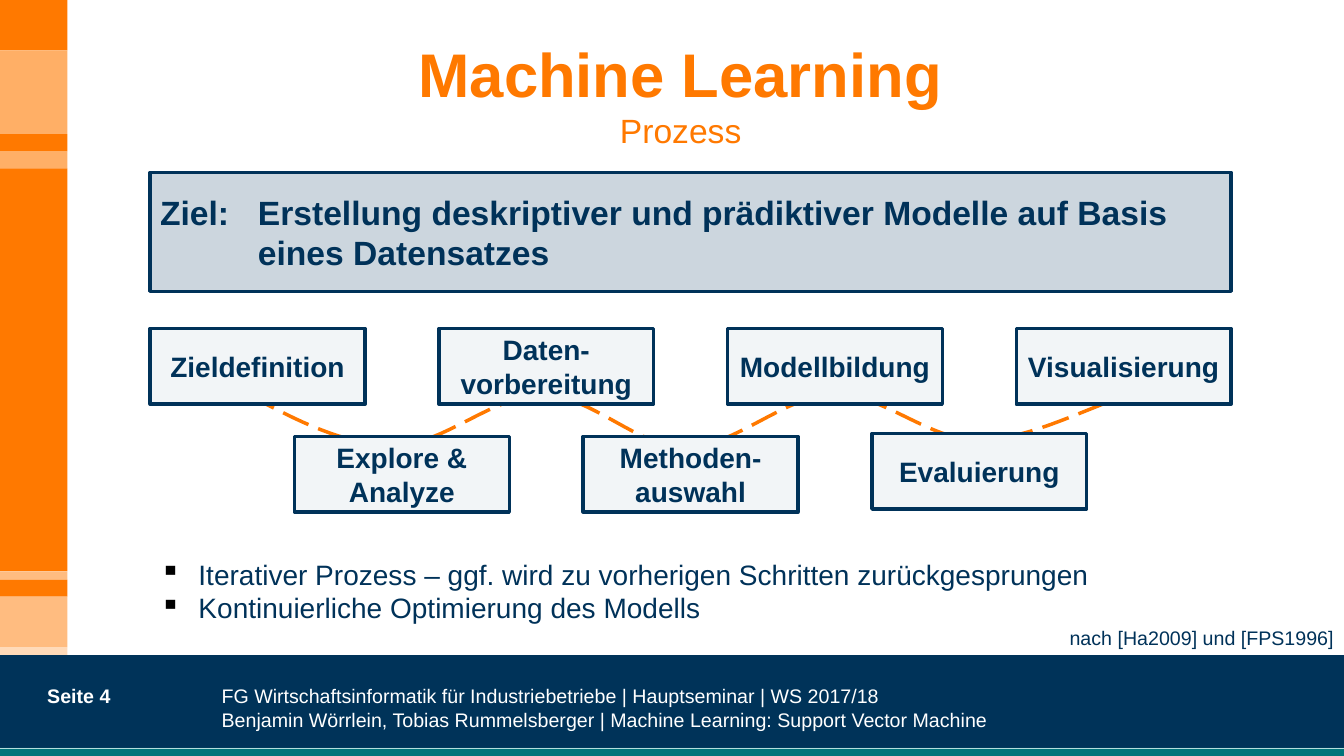
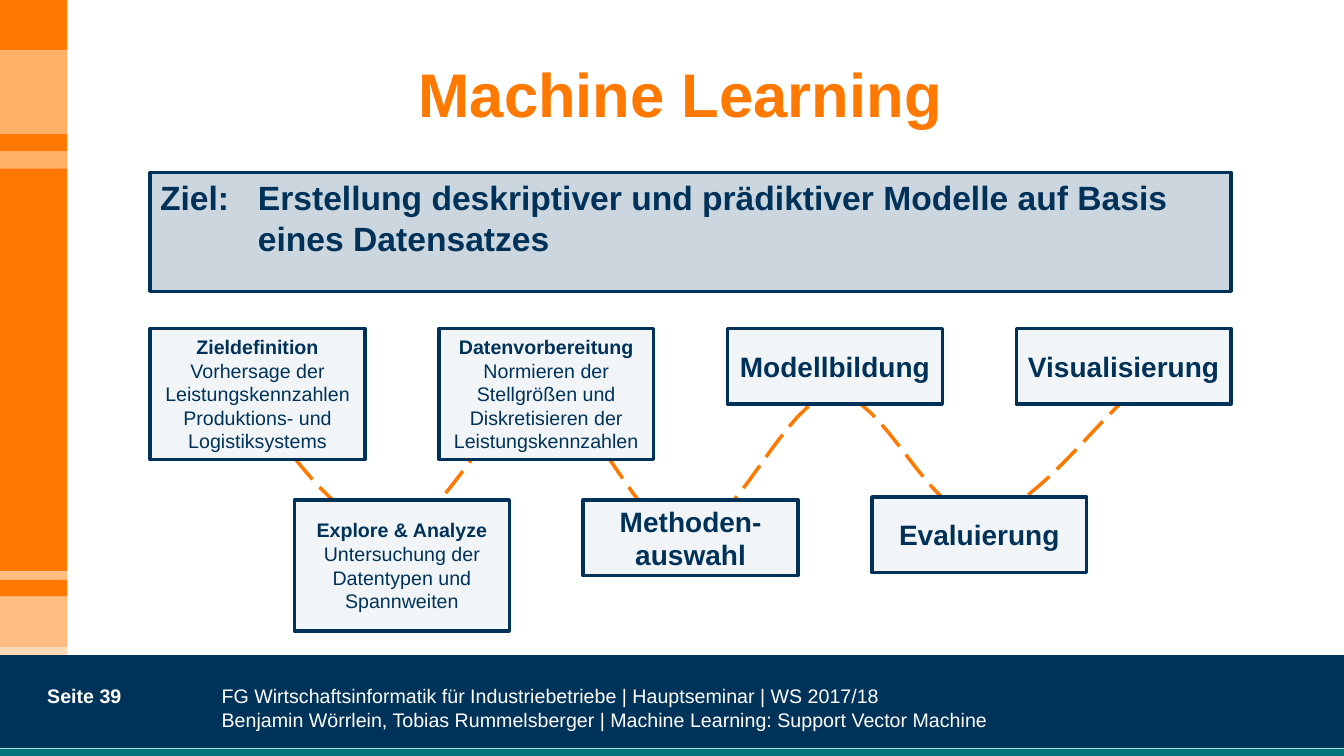
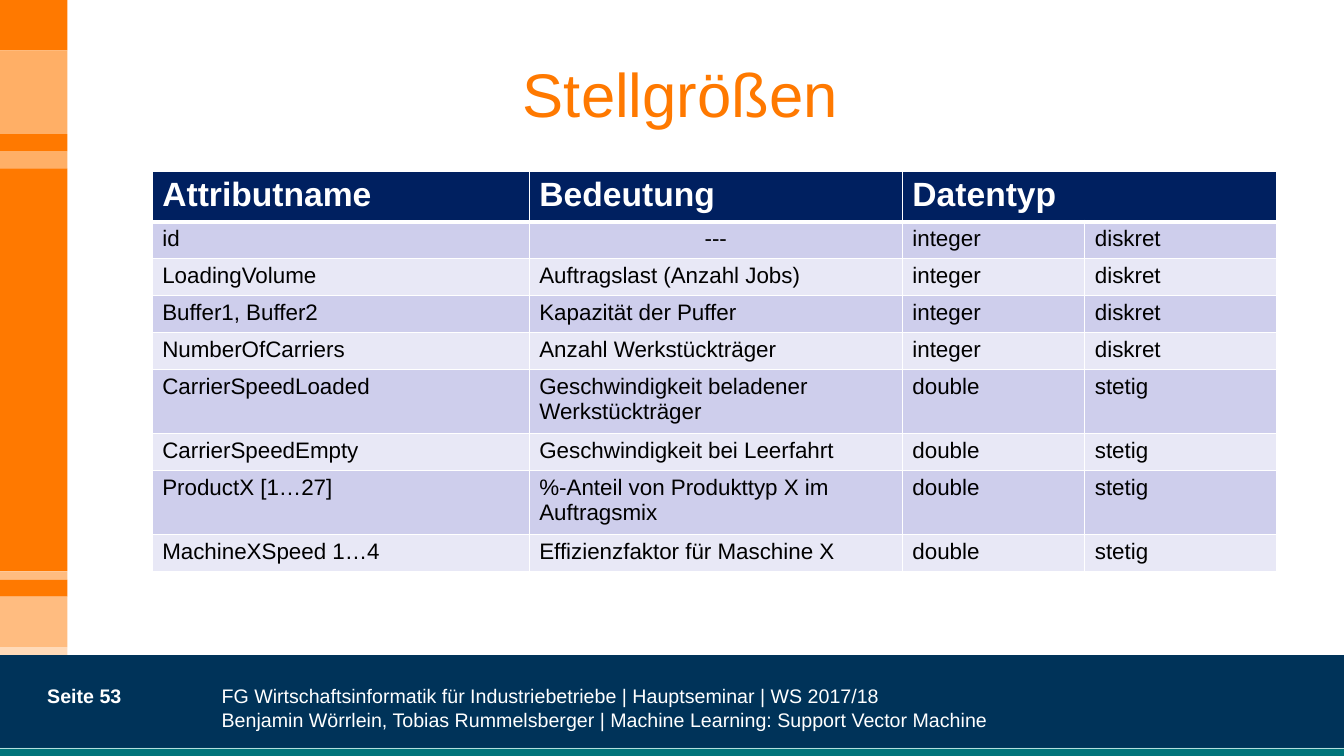
"""Three seminar slides on the machine learning process."""
from lxml.etree import SubElement
from pptx import Presentation
from pptx.dml.color import RGBColor
from pptx.enum.dml import MSO_LINE
from pptx.enum.shapes import MSO_CONNECTOR, MSO_SHAPE
from pptx.enum.text import MSO_ANCHOR, PP_ALIGN
from pptx.oxml import parse_xml
from pptx.oxml.ns import nsdecls, qn
from pptx.util import Inches, Pt

COLORS = {
    "orange": "FF7900", "light_orange": "FFAF66", "soft_orange": "FFBC80", "pale_orange": "FFDAB9",
    "footer": "003359", "teal": "00747A", "mint": "B4DCDC", "white": "FFFFFF", "black": "000000",
    "navy": "003259", "goal": "CCD6DE", "step": "F2F5F7",
    "header": "002060", "odd_row": "CECEEC", "even_row": "E8E8F6",
}
RGB = {name: RGBColor.from_string(value) for name, value in COLORS.items()}
STYLES = {
    "title": ("orange", {"size": Pt(44), "bold": True}),
    "plain_title": ("orange", {"size": Pt(44), "bold": False}),
    "subtitle": ("orange", {"size": Pt(24), "bold": False}),
    "footer": ("white", {"size": Pt(14), "bold": False}),
    "page": ("white", {"size": Pt(14), "bold": True}),
    "goal": ("navy", {"size": Pt(24), "bold": True}),
    "step": ("navy", {"size": Pt(20), "bold": True}),
    "step_head": ("navy", {"size": Pt(14), "bold": True}),
    "small": ("navy", {"size": Pt(14), "bold": False}),
    "bullet": ("navy", {"size": Pt(20), "bold": False}),
    "table_head": ("white", {"size": Pt(24), "bold": True}),
    "table_body": ("black", {"size": Pt(16), "bold": False}),
}


def write(frame, lines, align=PP_ALIGN.LEFT, anchor=MSO_ANCHOR.TOP):
    frame.word_wrap = True
    frame.vertical_anchor = anchor
    for index, (text, style) in enumerate(lines):
        paragraph = frame.paragraphs[0] if index == 0 else frame.add_paragraph()
        paragraph.alignment = align
        run = paragraph.add_run()
        run.text = text
        color, values = STYLES[style]
        for name, value in {"name": "Arial", **values}.items():
            setattr(run.font, name, value)
        run.font.color.rgb = RGB[color]
    return frame


def add_box(slide, place, fill, line=None):
    box = slide.shapes.add_shape(MSO_SHAPE.RECTANGLE, *map(Inches, place))
    box.shadow.inherit = False
    box.fill.solid()
    box.fill.fore_color.rgb = RGB[fill]
    if line:
        box.line.color.rgb = RGB[line]
        box.line.width = Pt(2.5)
    else:
        box.line.fill.background()
    return box.text_frame


SIDE_BANDS = [
    (0, "orange"), (0.5, "light_orange"), (1.33, "orange"), (1.5, "light_orange"), (1.67, "orange"),
    (5.67, "soft_orange"), (5.75, "orange"), (5.92, "soft_orange"), (6.42, "pale_orange"), (6.5, None),
]
FOOTER = [
    ("FG Wirtschaftsinformatik für Industriebetriebe | Hauptseminar | WS 2017/18", "footer"),
    ("Benjamin Wörrlein, Tobias Rummelsberger | Machine Learning: Support Vector Machine", "footer"),
]
PAGES = [
    (4, [("Machine Learning", "title"), ("Prozess", "subtitle")]),
    (39, [("Machine Learning", "title")]),
    (53, [("Stellgrößen", "plain_title")]),
]

prs = Presentation()
prs.slide_width, prs.slide_height = Inches(13.33), Inches(7.5)

for number, title in PAGES:
    slide = prs.slides.add_slide(prs.slide_layouts[6])
    for (top, color), (bottom, _) in zip(SIDE_BANDS, SIDE_BANDS[1:]):
        add_box(slide, (0, top, 0.67, bottom - top), color)
    add_box(slide, (0, 6.5, 13.33, 1), "footer")
    add_box(slide, (0, 7.42, 13.33, 0.08), "teal")
    edge = slide.shapes.add_connector(
        MSO_CONNECTOR.STRAIGHT, 0, Inches(7.42), Inches(13.33), Inches(7.42))
    edge.line.color.rgb = RGB["mint"]
    edge.line.width = Pt(0.25)
    SubElement(edge.element.spPr, qn("a:effectLst"))
    for place, lines, align, anchor in [
        ((0.84, 0.14, 11.82, 1.57), title, PP_ALIGN.CENTER, MSO_ANCHOR.MIDDLE),
        ((2.1, 6.74, 7.97, 0.6), FOOTER, PP_ALIGN.LEFT, MSO_ANCHOR.TOP),
        ((0.37, 6.74, 1.7, 0.6), [(f"Seite {number}", "page")], PP_ALIGN.LEFT, MSO_ANCHOR.TOP),
    ]:
        write(slide.shapes.add_textbox(*map(Inches, place)).text_frame, lines, align, anchor)

process_slide, example_slide, table_slide = prs.slides

LEFT, WIDTH, STEP_WIDTH, STEP_HEIGHT = 1.49, 10.72, 2.13, 0.75
GOAL = [
    ("Ziel:\tErstellung deskriptiver und prädiktiver Modelle auf Basis", "goal"),
    ("\teines Datensatzes", "goal"),
]
CURVE_X = [2.47, 2.94, 3.42, 3.91, 4.4, 4.9, 5.38, 5.87, 6.32, 6.8,
           7.28, 7.79, 8.27, 8.75, 9.21, 9.71, 10.2, 10.86, 11.22]
PROCESSES = [
    (process_slide, MSO_ANCHOR.MIDDLE,
     [3.92, 4.17, 4.42, 4.42, 4.42, 3.91, 3.92, 3.92, 4.44, 4.44,
      4.44, 3.92, 3.91, 3.9, 4.37, 4.37, 4.37, 4.01, 3.91],
     [(3.26, "Zieldefinition", None), (4.33, "Explore & Analyze", None),
      (3.26, "Daten-vorbereitung", None), (4.33, "Methoden-auswahl", None),
      (3.26, "Modellbildung", None), (4.3, "Evaluierung", None),
      (3.26, "Visualisierung", None)]),
    (example_slide, MSO_ANCHOR.TOP,
     [3.93, 4.6, 5.26, 5.26, 5.26, 3.93, 3.93, 3.94, 5.32, 5.31,
      5.31, 3.94, 3.91, 3.88, 5.13, 5.13, 5.13, 4.19, 3.91],
     [(3.26, "Zieldefinition",
       "Vorhersage der Leistungskennzahlen Produktions- und Logistiksystems"),
      (4.96, "Explore & Analyze", "Untersuchung der Datentypen und Spannweiten"),
      (3.26, "Datenvorbereitung",
       "Normieren der Stellgrößen und Diskretisieren der Leistungskennzahlen"),
      (4.96, "Methoden-auswahl", None), (3.26, "Modellbildung", None),
      (4.93, "Evaluierung", None), (3.26, "Visualisierung", None)]),
]

for slide, goal_anchor, curve_y, steps in PROCESSES:
    knots = list(zip(CURVE_X, curve_y))
    curve = [knots[0]]
    for start in range(0, len(knots) - 1, 3):
        for part in range(1, 17):
            t = part / 16
            weights = ((1 - t) ** 3, 3 * t * (1 - t) ** 2, 3 * t ** 2 * (1 - t), t ** 3)
            curve.append([sum(w * knot[axis] for w, knot in zip(weights, knots[start:start + 4]))
                          for axis in (0, 1)])
    points = [(Inches(x), Inches(y)) for x, y in curve]
    builder = slide.shapes.build_freeform(*points[0])
    builder.add_line_segments(points[1:], close=False)
    wave = builder.convert_to_shape()
    wave.shadow.inherit = False
    wave.fill.background()
    wave.line.color.rgb = RGB["orange"]
    wave.line.width = Pt(2.5)
    wave.line.dash_style = MSO_LINE.LONG_DASH

    goal = write(add_box(slide, (LEFT, 1.71, WIDTH, 1.18), "goal", "navy"), GOAL, anchor=goal_anchor)
    for paragraph in goal.paragraphs:
        tabs = SubElement(paragraph._p.get_or_add_pPr(), qn("a:tabLst"))
        SubElement(tabs, qn("a:tab"), pos=str(Inches(0.97)), algn="l")

    pitch = (WIDTH - STEP_WIDTH) / (len(steps) - 1)
    for index, (top, name, detail) in enumerate(steps):
        height = 1.3 if detail else STEP_HEIGHT
        lines = [(name, "step_head"), (detail, "small")] if detail else [(name, "step")]
        step = add_box(slide, (LEFT + index * pitch, top, STEP_WIDTH, height), "step", "navy")
        write(step, lines, PP_ALIGN.CENTER, MSO_ANCHOR.MIDDLE)

remarks = write(
    process_slide.shapes.add_textbox(*map(Inches, (LEFT, 5.48, WIDTH, 0.83))).text_frame,
    [("Iterativer Prozess – ggf. wird zu vorherigen Schritten zurückgesprungen", "bullet"),
     ("Kontinuierliche Optimierung des Modells", "bullet")])
for paragraph in remarks.paragraphs:
    properties = paragraph._p.get_or_add_pPr()
    properties.set("marL", str(Inches(0.38)))
    properties.set("indent", str(-Inches(0.38)))
    bullet_color = SubElement(properties, qn("a:buClr"))
    SubElement(bullet_color, qn("a:srgbClr"), val=COLORS["black"])
    SubElement(properties, qn("a:buChar"), char="▪")
write(process_slide.shapes.add_textbox(*map(Inches, (10.2, 6.16, 3.13, 0.34))).text_frame,
      [("nach [Ha2009] und [FPS1996]", "small")], PP_ALIGN.RIGHT)

ATTRIBUTES = [
    ("Attributname", "Bedeutung", "Datentyp", ""),
    ("id", "---", "integer", "diskret"),
    ("LoadingVolume", "Auftragslast (Anzahl Jobs)", "integer", "diskret"),
    ("Buffer1, Buffer2", "Kapazität der Puffer", "integer", "diskret"),
    ("NumberOfCarriers", "Anzahl Werkstückträger", "integer", "diskret"),
    ("CarrierSpeedLoaded", "Geschwindigkeit beladener Werkstückträger", "double", "stetig"),
    ("CarrierSpeedEmpty", "Geschwindigkeit bei Leerfahrt", "double", "stetig"),
    ("ProductX [1…27]", "%-Anteil von Produkttyp X im Auftragsmix", "double", "stetig"),
    ("MachineXSpeed 1…4", "Effizienzfaktor für Maschine X", "double", "stetig"),
]
COLUMN_WIDTHS = [3.74, 3.7, 1.81, 1.9]
ROW_HEIGHTS = [0.46, 0.35, 0.35, 0.35, 0.35, 0.59, 0.35, 0.59, 0.37]

attributes = table_slide.shapes.add_table(
    len(ROW_HEIGHTS), len(COLUMN_WIDTHS), Inches(1.51), Inches(1.7),
    Inches(sum(COLUMN_WIDTHS)), Inches(sum(ROW_HEIGHTS))).table
for column, width in zip(attributes.columns, COLUMN_WIDTHS):
    column.width = Inches(width)
for row, height in zip(attributes.rows, ROW_HEIGHTS):
    row.height = Inches(height)
attributes.cell(0, 2).merge(attributes.cell(0, 3))

for r, values in enumerate(ATTRIBUTES):
    row_fill = "header" if r == 0 else "odd_row" if r % 2 else "even_row"
    for c, value in enumerate(values):
        cell = attributes.cell(r, c)
        cell.fill.solid()
        cell.fill.fore_color.rgb = RGB[row_fill]
        if value:
            write(cell.text_frame, [(value, "table_body" if r else "table_head")],
                  PP_ALIGN.CENTER if value == "---" else PP_ALIGN.LEFT)
        for position, side in enumerate("LRTB"):
            thick = (r == 0 and side == "B") or (r == 1 and side == "T")
            cell._tc.get_or_add_tcPr().insert(position, parse_xml(
                f'<a:ln{side} {nsdecls("a")} w="{Pt(3 if thick else 1)}"><a:solidFill>'
                f'<a:srgbClr val="{COLORS["white"]}"/></a:solidFill></a:ln{side}>'))

prs.save("out.pptx")
